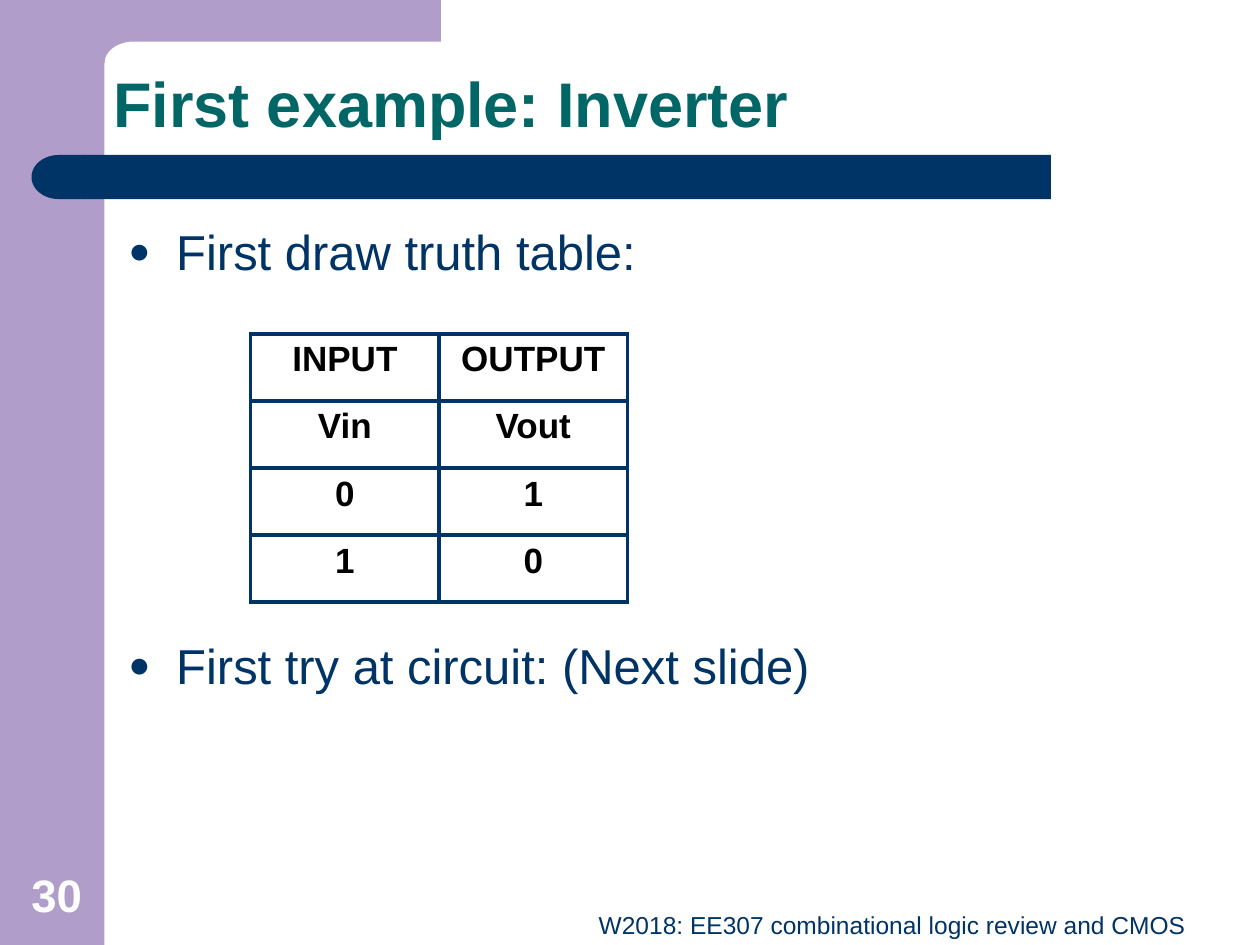
from math import cos, pi, sin

from lxml.etree import SubElement
from pptx import Presentation
from pptx.dml.color import RGBColor
from pptx.enum.shapes import MSO_SHAPE as SHAPE
from pptx.enum.text import MSO_ANCHOR as ANCHOR, PP_ALIGN as ALIGN
from pptx.oxml.ns import qn
from pptx.util import Inches, Pt

COLORS = {"lilac": "B09DC9", "navy": "003366", "teal": "006666",
          "black": "000000", "white": "FFFFFF"}
TRUTH = [("INPUT", "OUTPUT"), ("Vin", "Vout"), ("0", "1"), ("1", "0")]


def tint(name):
    return RGBColor.from_string(COLORS[name])


class Deck:
    """Holds the font and the current slide."""

    def __init__(self, show, font="Arial"):
        self.font = font
        self.slide = show.slides.add_slide(show.slide_layouts[6])
        self.shapes = self.slide.shapes

    def paint(self, shape, color):
        shape.shadow.inherit = False
        shape.fill.solid()
        shape.fill.fore_color.rgb = tint(color)
        shape.line.fill.background()
        return shape

    def block(self, kind, box, color):
        return self.paint(self.shapes.add_shape(kind, *map(Inches, box)), color)

    def outline(self, points, color):
        dots = [(Inches(x), Inches(y)) for x, y in points]
        form = self.shapes.build_freeform(*dots[0])
        form.add_line_segments(dots[1:], close=True)
        return self.paint(form.convert_to_shape(), color)

    def phrase(self, para, text, size, color, bold=False, **style):
        for key, value in style.items():
            setattr(para, key, value)
        run = para.add_run()
        run.text = text
        look = {"name": self.font, "size": Pt(size), "bold": bold}
        for key, value in look.items():
            setattr(run.font, key, value)
        run.font.color.rgb = tint(color)

    def frame(self, box, anchor=ANCHOR.TOP):
        frame = self.shapes.add_textbox(*map(Inches, box)).text_frame
        frame.word_wrap = True
        frame.vertical_anchor = anchor
        return frame

    def label(self, box, text, size, color, anchor=ANCHOR.TOP, **style):
        para = self.frame(box, anchor).paragraphs[0]
        self.phrase(para, text, size, color, **style)

    def bullets(self, box, items, size, color, gap):
        """Add a bulleted list with gap points between its items."""
        frame = self.frame(box)
        for i, text in enumerate(items):
            para = frame.add_paragraph() if i else frame.paragraphs[0]
            self.phrase(para, text, size, color, space_before=Pt(gap if i else 0))
            props = para._p.get_or_add_pPr()
            props.set("marL", str(Inches(0.38)))
            props.set("indent", str(Inches(-0.38)))
            hue = SubElement(props, qn("a:buClr"))
            SubElement(hue, qn("a:srgbClr"), val=COLORS[color])
            SubElement(props, qn("a:buSzPct"), val="75000")
            SubElement(props, qn("a:buFont"), typeface=self.font)
            SubElement(props, qn("a:buChar"), char="●")

    def border(self, cell, color, width):
        props = cell._tc.get_or_add_tcPr()
        for i, side in enumerate(("lnL", "lnR", "lnT", "lnB")):
            line = props.makeelement(qn(f"a:{side}"), {"w": str(Pt(width))})
            fill = SubElement(line, qn("a:solidFill"))
            SubElement(fill, qn("a:srgbClr"), val=COLORS[color])
            props.insert(i, line)

    def table(self, box, rows, size):
        grid = self.shapes.add_table(len(rows), len(rows[0]),
                                     *map(Inches, box)).table
        for r, row in enumerate(rows):
            for c, text in enumerate(row):
                cell = grid.cell(r, c)
                cell.fill.solid()
                cell.fill.fore_color.rgb = tint("white")
                self.border(cell, "navy", 2.25)
                self.phrase(cell.text_frame.paragraphs[0], text, size, "black",
                            bold=True, alignment=ALIGN.CENTER)


def main():
    show = Presentation()
    show.slide_width, show.slide_height = Inches(10), Inches(7.5)
    deck = Deck(show)

    deck.block(SHAPE.RECTANGLE, (0, 0, 0.83, 7.5), "lilac")
    turns = [pi / 2 * i / 12 for i in range(13)]
    curve = [(1.06 - 0.23 * sin(t), 0.5 - 0.17 * cos(t)) for t in turns]
    deck.outline([(0.5, 0), (3.5, 0), (3.5, 0.33), *curve, (0.5, 0.5)], "lilac")
    deck.block(SHAPE.RECTANGLE, (0.67, 1.23, 7.67, 0.35), "navy")
    cap = deck.block(SHAPE.FLOWCHART_DELAY, (0.25, 1.23, 0.43, 0.35), "navy")
    cap.rotation = 180

    deck.label((0.8, 0.33, 8.67, 0.84), "First example: Inverter", 36, "teal",
               ANCHOR.BOTTOM, bold=True, line_spacing=0.9)
    deck.bullets((0.92, 1.71, 8.41, 4.95),
                 ["First draw truth table:", "First try at circuit: (Next slide)"],
                 28, "navy", gap=203)
    deck.label((3.42, 7.17, 6.09, 0.33),
               "W2018: EE307 combinational logic review and CMOS", 14, "navy",
               alignment=ALIGN.RIGHT)
    deck.table((1.99, 2.65, 2.99, 2.13), TRUTH, 20)
    deck.label((0, 6.83, 0.9, 0.53), "30", 26, "white", ANCHOR.BOTTOM,
               bold=True, alignment=ALIGN.CENTER)
    show.save("out.pptx")


if __name__ == "__main__":
    main()
